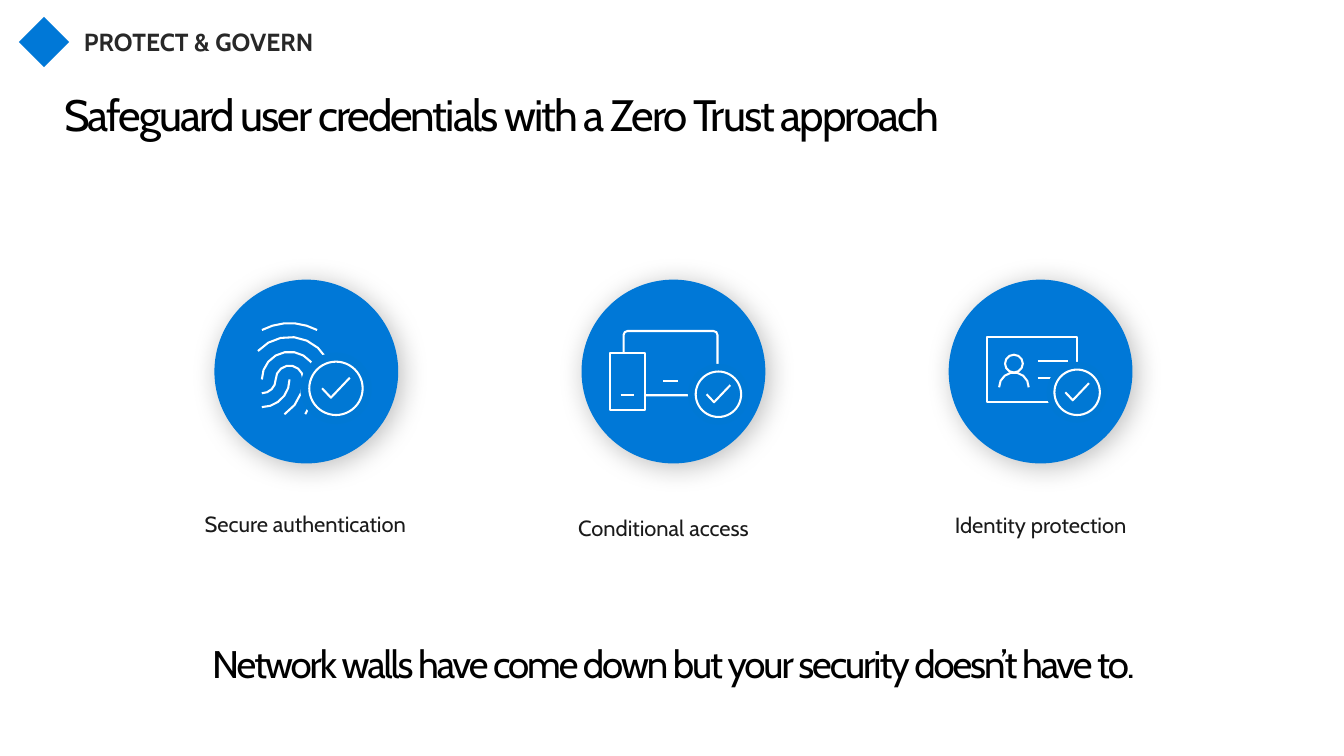
from dataclasses import dataclass
from math import cos, radians, sin

from pptx import Presentation
from pptx.dml.color import RGBColor
from pptx.enum.shapes import MSO_SHAPE
from pptx.enum.text import MSO_ANCHOR, MSO_AUTO_SIZE, PP_ALIGN
from pptx.oxml import parse_xml
from pptx.oxml.ns import nsdecls, qn
from pptx.util import Inches, Pt

LEFT, CENTER = PP_ALIGN.LEFT, PP_ALIGN.CENTER
TOP, MIDDLE = MSO_ANCHOR.TOP, MSO_ANCHOR.MIDDLE
GROW, FIXED = MSO_AUTO_SIZE.SHAPE_TO_FIT_TEXT, MSO_AUTO_SIZE.NONE
OVAL, DIAMOND = MSO_SHAPE.OVAL, MSO_SHAPE.DIAMOND


@dataclass(frozen=True)
class Theme:
    font: str = "Cabin"
    blue: RGBColor = RGBColor(0x00, 0x78, 0xD7)
    badge: RGBColor = RGBColor(0x00, 0x78, 0xD4)
    white: RGBColor = RGBColor(0xFF, 0xFF, 0xFF)
    black: RGBColor = RGBColor(0x00, 0x00, 0x00)
    label: RGBColor = RGBColor(0x1A, 0x1A, 0x1A)
    header: RGBColor = RGBColor(0x28, 0x28, 0x28)
    title_size: int = 32
    closing_size: int = 28
    header_size: int = 18
    label_size: int = 16
    stroke: float = 1.5


THEME = Theme()


def write(holder, text, size, color, align=CENTER, anchor=TOP, insets=(0.1, 0.05, 0.1, 0.05),
          bold=False, spacing=0, fit=FIXED):
    frame = holder.text_frame
    frame.word_wrap, frame.auto_size, frame.vertical_anchor = True, fit, anchor
    (frame.margin_left, frame.margin_top,
     frame.margin_right, frame.margin_bottom) = map(Inches, insets)
    line = frame.paragraphs[0]
    line.alignment, line.line_spacing = align, 0.9
    line.space_before = Pt(0)
    run = line.add_run()
    run.text = text
    run.font.name, run.font.size, run.font.bold = THEME.font, Pt(size), bold
    run.font.color.rgb = color
    if spacing:
        run._r.get_or_add_rPr().set("spc", str(int(spacing * 100)))


def arc(x, y, radius, start, end, steps=5):
    """Points on a circle; angles in degrees, clockwise from the right."""
    angles = [radians(start + (end - start) * i / steps) for i in range(steps + 1)]
    return [(x + radius * cos(a), y + radius * sin(a)) for a in angles]


deck = Presentation()
deck.slide_width, deck.slide_height = Inches(13.6), Inches(7.65)
slide = deck.slides.add_slide(deck.slide_layouts[5])

# Title
title = slide.shapes.title
title.left, title.top, title.width, title.height = map(Inches, (0.65, 0.77, 12.29, 1.04))
write(title, "Safeguard user credentials with a Zero Trust approach", THEME.title_size,
      THEME.black, align=LEFT, insets=(0, 0.18, 0, 0), spacing=-1.5)

# Icon strokes, in slide inches
fingerprint = [
    arc(2.65, 3.84, 0.28, 0, 90),
    arc(2.93, 3.865, 0.595, -118, -62),
    arc(2.93, 3.84, 0.43, -138, -30, 6),
    arc(2.64, 3.84, 0.57, 38, 0, 2) + arc(2.93, 3.84, 0.28, 0, -180, 9)[1:],
    arc(2.65, 3.84, 0.42, 57, 0, 3) + arc(2.93, 3.84, 0.14, 0, -180, 7)[1:]
    + arc(2.65, 3.84, 0.14, 0, 90, 4)[1:],
]
devices = [
    [(6.17, 3.57), (6.53, 3.57), (6.53, 4.15), (6.17, 4.15), (6.17, 3.57)],
    [(6.28, 4), (6.42, 4)],
    [(6.71, 3.86), (6.86, 3.86)],
    [(6.53, 4)] + arc(7.22, 3.96, 0.04, 90, 0, 2) + arc(7.22, 3.39, 0.04, 0, -90, 2)
    + arc(6.35, 3.39, 0.04, -90, -180, 2) + [(6.31, 3.57)],
]
id_card = [
    [(9.99, 3.41), (10.9, 3.41), (10.9, 4.07), (9.99, 4.07), (9.99, 3.41)],
    [(10.5, 3.65), (10.81, 3.65)],
    [(10.5, 3.83), (10.68, 3.83)],
    arc(10.26, 3.68, 0.09, 0, 360, 12),
    arc(10.26, 3.92, 0.15, 0, -180, 7),
]

# Capabilities: label, label box, icon strokes, badge centre and radius
capabilities = [
    ("Secure authentication", (1.68, 5.15, 2.82, 0.34), fingerprint, (3.4, 3.93, 0.27)),
    ("Conditional access", (5.05, 5.19, 3.33, 0.34), devices, (7.27, 3.99, 0.23)),
    ("Identity protection", (9.12, 5.14, 2.82, 0.37), id_card, (10.9, 3.97, 0.23)),
]
CIRCLE_LEFT, CIRCLE_TOP, CIRCLE_SIZE, CIRCLE_PITCH = 2.17, 2.83, 1.86, 3.715
CHECK = [(-0.52, 0), (-0.19, 0.35), (0.52, -0.4)]
HALO = 1.34

for column, (label, label_box, strokes, (x, y, radius)) in enumerate(capabilities):
    icon = slide.shapes.add_group_shape().shapes
    middle = CIRCLE_LEFT + column * CIRCLE_PITCH + CIRCLE_SIZE / 2
    check = [(x + dx * radius, y + dy * radius) for dx, dy in CHECK]
    # A layer is a disc or ring (centre, radius) with its fill, or a list of strokes
    layers = [
        ((middle, CIRCLE_TOP + CIRCLE_SIZE / 2, CIRCLE_SIZE / 2), THEME.blue),
        (strokes, None),
        ((x, y, radius * HALO), THEME.badge),
        ((x, y, radius), None),
        ([check], None),
    ]
    for geometry, fill in layers:
        if isinstance(geometry, tuple):
            cx, cy, r = geometry
            part = icon.add_shape(OVAL, *map(Inches, (cx - r, cy - r, 2 * r, 2 * r)))
        else:
            paths = [[(Inches(px), Inches(py)) for px, py in path] for path in geometry]
            pen = icon.build_freeform(*paths[0][0])
            for number, path in enumerate(paths):
                if number:
                    pen.move_to(*path[0])
                pen.add_line_segments(path[1:], close=path[0] == path[-1])
            part = pen.convert_to_shape()
        part.shadow.inherit = False
        if fill:
            part.fill.solid()
            part.fill.fore_color.rgb = fill
            part.line.fill.background()
        else:
            part.fill.background()
            part.line.color.rgb, part.line.width = THEME.white, Pt(THEME.stroke)
        if fill == THEME.blue:
            part._element.spPr.find(qn("a:effectLst")).append(parse_xml(
                f'<a:outerShdw {nsdecls("a")} blurRad="{Pt(20)}" dist="{Pt(4)}" dir="2700000" '
                'algn="tl" rotWithShape="0"><a:srgbClr val="000000"><a:alpha val="25000"/>'
                '</a:srgbClr></a:outerShdw>'))
    write(slide.shapes.add_textbox(*map(Inches, label_box)), label, THEME.label_size,
          THEME.label, anchor=MIDDLE, fit=GROW)

# Closing line
closing = slide.shapes.add_textbox(*map(Inches, (1.3, 6.35, 11.03, 1.29)))
write(closing, "Network walls have come down but your security doesn’t have to.",
      THEME.closing_size, THEME.black, insets=(0, 0.18, 0, 0), spacing=-1.5)

# Section header with its marker
header = slide.shapes.add_textbox(*map(Inches, (0.57, 0.17, 2.88, 0.6)))
write(header, "PROTECT & GOVERN", THEME.header_size, THEME.header,
      insets=(0.2, 0.16, 0.2, 0.16), bold=True, fit=GROW)
marker = slide.shapes.add_shape(DIAMOND, *map(Inches, (0.19, 0.17, 0.51, 0.51)))
marker.fill.solid()
marker.fill.fore_color.rgb = THEME.blue
marker.line.fill.background()
marker.shadow.inherit = False

deck.save("out.pptx")
